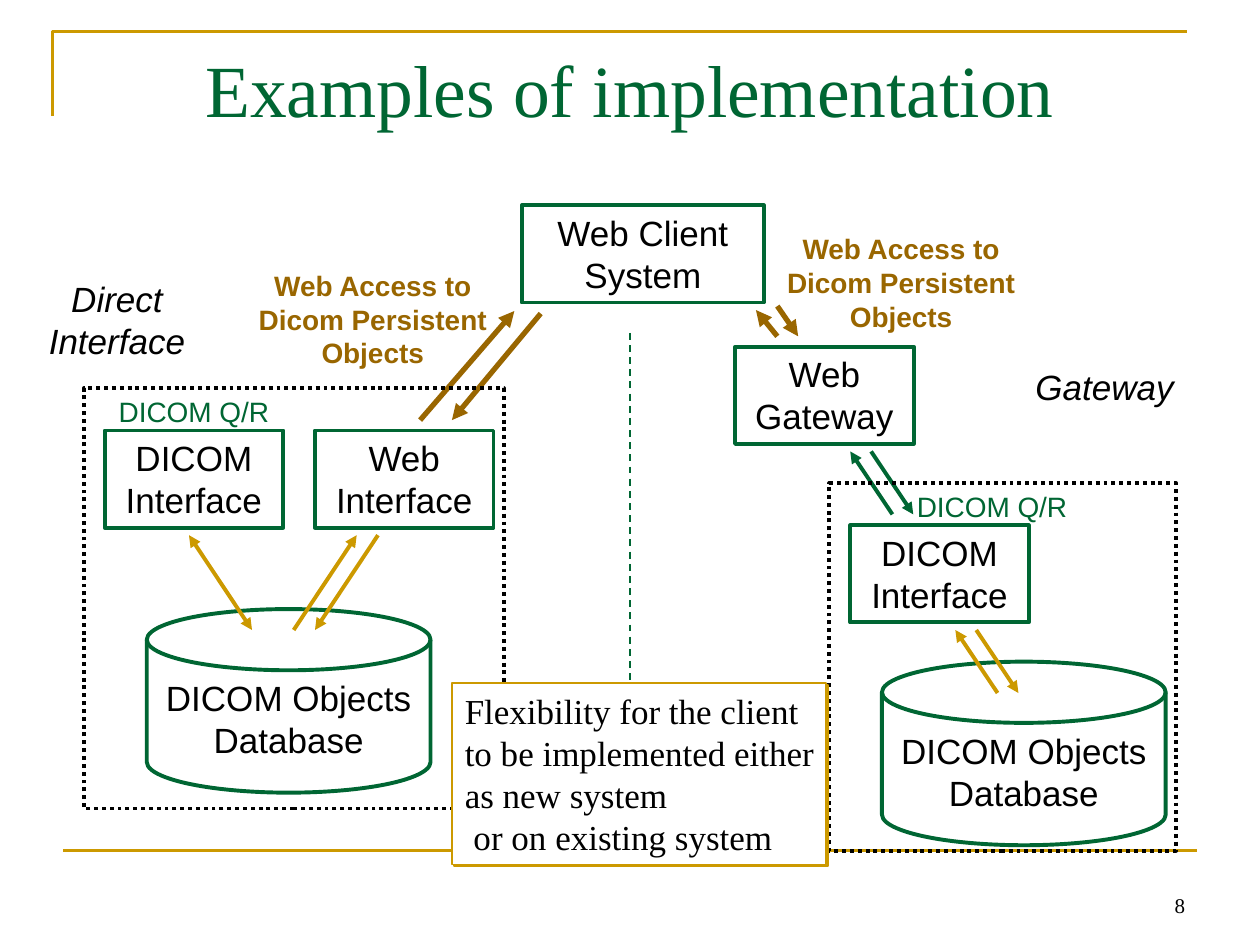
from lxml import etree
from pptx import Presentation
from pptx.dml.color import RGBColor
from pptx.enum import dml, shapes, text
from pptx.oxml import ns
from pptx.util import Cm, Pt

COLORS = {"green": "006633", "gold": "CC9900", "brown": "996600", "black": "000000", "white": "FFFFFF"}
SANS, SERIF = "Arial", "Times New Roman"
BLOCK = (3.6, 1.96)
CYLINDER = (5.72, 3.7)
LABEL = (5.29, 2.29)


def rgb(name):
    """Return the palette colour with this name."""
    return RGBColor.from_string(COLORS[name])


def set_line(line, color, width, dash=None):
    """Format an outline or a connector line."""
    line.color.rgb = rgb(color)
    line.width = Pt(width)
    if dash:
        line.dash_style = dash


def write(shape, content, size=20, font=SANS, color="black", bold=False, italic=False,
          align=text.PP_ALIGN.CENTER, anchor=text.MSO_ANCHOR.TOP, wrap=True):
    """Write one paragraph per item of content into a shape."""
    frame = shape.text_frame
    frame.word_wrap = wrap
    frame.vertical_anchor = anchor
    for index, line in enumerate([content] if isinstance(content, str) else content):
        paragraph = frame.add_paragraph() if index else frame.paragraphs[0]
        paragraph.text = line
        paragraph.alignment = align
        paragraph.font.size = Pt(size)
        paragraph.font.name = font
        paragraph.font.bold = bold
        paragraph.font.italic = italic
        paragraph.font.color.rgb = rgb(color)


def add_label(slide, left, top, extent, content, **style):
    """Add a text box in the given format."""
    write(slide.shapes.add_textbox(*map(Cm, (left, top, *extent))), content, **style)


def add_box(slide, left, top, extent, content=None, kind=shapes.MSO_SHAPE.RECTANGLE,
            outline="green", width=2.25, dash=None, fill=None, **style):
    """Add an outlined shape with optional fill and text."""
    shape = slide.shapes.add_shape(kind, *map(Cm, (left, top, *extent)))
    shape.shadow.inherit = False
    if fill:
        shape.fill.solid()
        shape.fill.fore_color.rgb = rgb(fill)
    else:
        shape.fill.background()
    set_line(shape.line, outline, width, dash)
    if content:
        write(shape, content, **style)
    return shape


def add_line(slide, start, end, color, width, heads=(), dash=None):
    """Add a straight line with triangles at the ends named in heads."""
    connector = slide.shapes.add_connector(shapes.MSO_CONNECTOR.STRAIGHT, *map(Cm, (*start, *end)))
    set_line(connector.line, color, width, dash)
    properties = connector._element.spPr
    for head in heads:
        etree.SubElement(properties.find(ns.qn("a:ln")), ns.qn(f"a:{head}"), type="triangle")
    etree.SubElement(properties, ns.qn("a:effectLst"))


def add_arrow_pair(slide, left, top, run, rise, gap, color):
    """Add two parallel arrows, the first pointing up and the second down."""
    for offset, head in ((0, "headEnd"), (gap, "tailEnd")):
        add_line(slide, (left + offset, top), (left + offset + run, top + rise), color, 2.25, [head])


def add_database(slide, left, top):
    """Add the database cylinder."""
    add_box(slide, left, top, CYLINDER, "DICOM Objects Database",
            kind=shapes.MSO_SHAPE.FLOWCHART_MAGNETIC_DISK)


def add_system_border(slide, left, top, extent):
    """Add the dotted border around a system."""
    add_box(slide, left, top, extent, outline="black", dash=dml.MSO_LINE.ROUND_DOT)


def add_frame(slide, left, top, width, height):
    """Add the corner rule, base rule, title and page number."""
    builder = slide.shapes.build_freeform(Cm(left), Cm(top + 1.7))
    builder.add_line_segments([(Cm(left), Cm(top)), (Cm(left + width), Cm(top))], close=False)
    corner = builder.convert_to_shape()
    corner.shadow.inherit = False
    corner.fill.background()
    set_line(corner.line, "gold", 1.5)
    base = top + height
    add_line(slide, (left + 0.21, base), (left + width + 0.21, base), "gold", 1.5)
    add_label(slide, left + 0.21, top + 0.13, (width, 3.18), "Examples of implementation",
              size=42, font=SERIF, color="green")
    add_label(slide, left + 17.15, base + 0.21, (5.93, 1.27), "8", size=12, font=SERIF,
              align=text.PP_ALIGN.RIGHT, anchor=text.MSO_ANCHOR.BOTTOM)


def add_client(slide, left, top):
    """Add the web client with its two access routes."""
    add_box(slide, left, top, (4.88, 1.96), "Web Client System")
    for x, y in ((-5.65, 1.15), (5, 0.41)):
        add_label(slide, left + x, top + y, LABEL, "Web Access to Dicom Persistent Objects",
                  size=16, color="brown", bold=True)
    for x1, y1, x2, y2, head in (
        (0.38, 2.18, -1.41, 4.33, "tailEnd"),
        (-0.15, 2.13, -2.05, 4.33, "headEnd"),
        (5.15, 2.03, 5.57, 2.64, "tailEnd"),
        (4.72, 2.11, 5.15, 2.64, "headEnd"),
    ):
        add_line(slide, (left + x1, top + y1), (left + x2, top + y2), "brown", 3, [head])


def add_direct_system(slide, left, top):
    """Add the system with a direct web interface."""
    add_database(slide, left + 1.27, top + 4.45)
    for x, name in ((0.42, "DICOM Interface"), (4.66, "Web Interface")):
        add_box(slide, left + x, top + 0.85, BLOCK, name)
    add_label(slide, left + 0.42, top, (3.6, 0.94), "DICOM Q/R", size=16, color="green")
    add_label(slide, left - 1.13, top - 2.37, BLOCK, "Direct\nInterface", italic=True)
    add_line(slide, (left + 2.12, top + 2.96), (left + 3.39, top + 4.87), "gold", 2.25,
             ["headEnd", "tailEnd"])
    add_arrow_pair(slide, left + 5.5, top + 2.96, -1.27, 1.91, 0.43, "gold")
    add_system_border(slide, left, top, (8.47, 8.47))


def add_gateway_system(slide, left, top):
    """Add the system reached through a web gateway."""
    add_database(slide, left + 1.06, top + 3.6)
    add_box(slide, left + 0.42, top + 0.85, BLOCK, "DICOM Interface")
    add_box(slide, left - 1.9, top - 2.75, BLOCK, "Web Gateway")
    add_label(slide, left + 1.48, top, (3.6, 0.94), "DICOM Q/R", size=16, color="green")
    add_label(slide, left + 3.75, top - 2.5, (3.6, 1.11), "Gateway", italic=True)
    add_arrow_pair(slide, left + 2.54, top + 2.96, 0.85, 1.27, 0.42, "gold")
    add_arrow_pair(slide, left + 0.42, top - 0.64, 0.85, 1.27, 0.42, "green")
    add_system_border(slide, left, top, (6.99, 7.41))


def add_note(slide, left, top, extent):
    """Add the conclusion with its hard offset shadow."""
    note = add_box(slide, left, top, extent, [
        "Flexibility for the client",
        "to be implemented either",
        "as new system",
        " or on existing system",
    ], outline="gold", width=1, fill="white", font=SERIF, align=text.PP_ALIGN.LEFT, wrap=False)
    effects = note._element.spPr.find(ns.qn("a:effectLst"))
    shadow = etree.SubElement(effects, ns.qn("a:outerShdw"), dist=str(Pt(1.4)), dir="2700000",
                              algn="ctr", rotWithShape="0")
    etree.SubElement(shadow, ns.qn("a:srgbClr"), val=COLORS["gold"])


def main():
    """Build the slide and save it."""
    presentation = Presentation()
    presentation.slide_width, presentation.slide_height = Cm(25.4), Cm(19.05)
    slide = presentation.slides.add_slide(presentation.slide_layouts[6])
    add_frame(slide, 1.06, 0.64, 22.86, 16.51)
    add_line(slide, (12.7, 6.71), (12.7, 17.35), "green", 1, dash=dml.MSO_LINE.DASH)
    add_client(slide, 10.52, 4.14)
    add_direct_system(slide, 1.69, 7.83)
    add_gateway_system(slide, 16.72, 9.74)
    add_note(slide, 9.12, 13.77, (7.54, 3.66))
    presentation.save("out.pptx")


if __name__ == "__main__":
    main()
